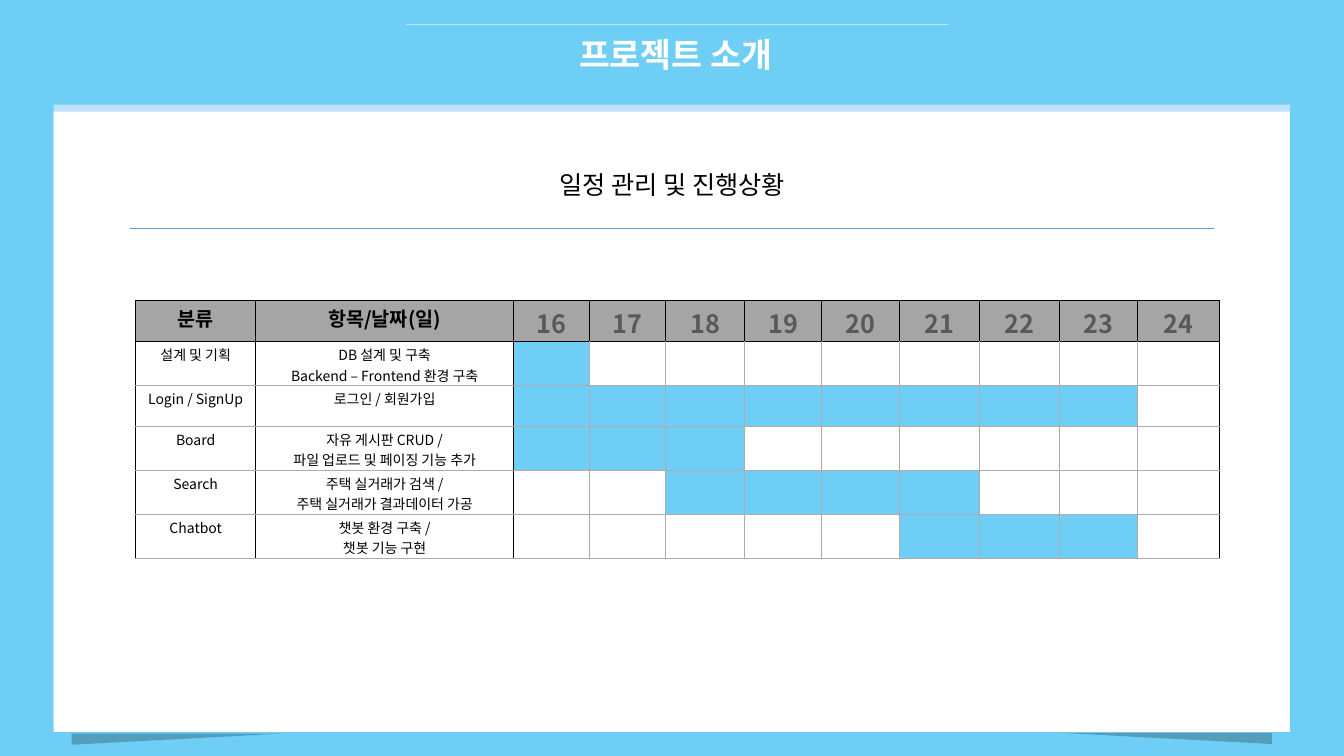
from dataclasses import dataclass

from lxml import etree
from pptx import Presentation
from pptx import util as u
from pptx.dml.color import RGBColor
from pptx.enum import shapes, text
from pptx.oxml import ns


@dataclass(frozen=True)
class Theme:
    font: str = "Noto Sans CJK KR"
    sky: str = "6ECEF5"
    pale: str = "BEE2FC"
    rule: str = "5B9BD5"
    white: str = "FFFFFF"
    black: str = "000000"
    header: str = "A5A5A5"
    grid: str = "AFABAB"
    date: str = "595959"
    title_size: float = 24
    subtitle_size: float = 18
    date_size: float = 18
    heading_size: float = 14
    body_size: float = 10
    hairline: float = 0.5


def add_xml(parent, tag, **attributes):
    element = etree.SubElement(parent, ns.qn(tag))
    for name, value in attributes.items():
        element.set(name, str(value))
    return element


class SlideBuilder:
    def __init__(self, presentation, theme):
        self.theme = theme
        self.slide = presentation.slides.add_slide(presentation.slide_layouts[5])
        background = self.slide.background.fill
        background.solid()
        background.fore_color.rgb = RGBColor.from_string(theme.sky)

    def format_text(self, frame, size, color, bold=False):
        for paragraph in frame.paragraphs:
            paragraph.alignment = text.PP_ALIGN.CENTER
            font = paragraph.font
            font.name, font.size, font.bold = self.theme.font, u.Pt(size), bold
            font.color.rgb = RGBColor.from_string(color)
            add_xml(font._element, "a:ea", typeface=self.theme.font)

    def fill_frame(self, shape, words, size, color, bold=False):
        frame = shape.text_frame
        frame.text = words
        frame.word_wrap = True
        frame.auto_size = text.MSO_AUTO_SIZE.NONE
        frame.vertical_anchor = text.MSO_ANCHOR.TOP
        frame.margin_left = frame.margin_right = 0
        frame.margin_top = frame.margin_bottom = 0
        self.format_text(frame, size, color, bold)

    def title(self, words, left, top, width, height):
        title = self.slide.shapes.title
        title.left, title.top = u.Pt(left), u.Pt(top)
        title.width, title.height = u.Pt(width), u.Pt(height)
        self.fill_frame(title, words, self.theme.title_size, self.theme.white, True)

    def subtitle(self, words, *box):
        shape = self.slide.shapes.add_textbox(*map(u.Pt, box))
        self.fill_frame(shape, words, self.theme.subtitle_size, self.theme.black)

    def line(self, left, right, y, color):
        line = self.slide.shapes.add_connector(
            shapes.MSO_CONNECTOR.STRAIGHT, u.Pt(left), u.Pt(y), u.Pt(right), u.Pt(y))
        line.line.color.rgb = RGBColor.from_string(color)
        line.line.width = u.Pt(self.theme.hairline)
        add_xml(line._element.spPr, "a:effectLst")

    def shape(self, group, kind, color, *box):
        shape = group.shapes.add_shape(kind, *map(u.Pt, box))
        shape.shadow.inherit = False
        shape.fill.solid()
        shape.fill.fore_color.rgb = RGBColor.from_string(color)
        shape.line.fill.background()
        return shape

    def panel(self, *box):
        group = self.slide.shapes.add_group_shape()
        panel = self.shape(group, shapes.MSO_SHAPE.RECTANGLE, self.theme.white, *box)
        effects = panel._element.spPr.find(ns.qn("a:effectLst"))
        shadow = add_xml(effects, "a:outerShdw", blurRad=0, dist=u.Pt(5),
                         dir=270 * 60000, algn="b", rotWithShape=0)
        add_xml(shadow, "a:srgbClr", val=self.theme.pale)
        return group

    def curl(self, group, mirrored, *box):
        curl = self.shape(group, shapes.MSO_SHAPE.RIGHT_TRIANGLE, self.theme.black, *box)
        color = curl._element.spPr.find(".//" + ns.qn("a:srgbClr"))
        add_xml(color, "a:alpha", val=23000)
        transform = curl._element.spPr.get_or_add_xfrm()
        transform.set("flipV", "1")
        if mirrored:
            transform.set("flipH", "1")

    def cell(self, cell, words, fill, size, color, bold, borders):
        cell.text = words
        cell.margin_left = cell.margin_right = u.Pt(3)
        cell.margin_top, cell.margin_bottom = u.Pt(2.4), 0
        cell.fill.solid()
        cell.fill.fore_color.rgb = RGBColor.from_string(fill)
        self.format_text(cell.text_frame, size, color, bold)
        properties = cell._tc.get_or_add_tcPr()
        for position, (side, dark) in enumerate(borders.items()):
            border = add_xml(properties, "a:ln" + side, w=u.Pt(self.theme.hairline))
            border_fill = add_xml(border, "a:solidFill")
            add_xml(border_fill, "a:srgbClr",
                    val=self.theme.black if dark else self.theme.grid)
            properties.insert(position, border)

    def schedule(self, left, top, widths, heights, days, tasks):
        theme = self.theme
        table = self.slide.shapes.add_table(
            len(heights), len(widths), u.Pt(left), u.Pt(top),
            u.Pt(sum(widths)), u.Pt(sum(heights))).table
        table.first_row = table.horz_banding = False
        for column, width in zip(table.columns, widths):
            column.width = u.Pt(width)
        for row, height in zip(table.rows, heights):
            row.height = u.Pt(height)

        rows = [["분류", "항목/날짜(일)", *map(str, days)]]
        rows += [[name, detail] + [""] * len(days) for name, detail, _ in tasks]
        for r, row in enumerate(rows):
            for c, words in enumerate(row):
                head, is_day = r == 0, c >= 2
                busy = not head and is_day and days[c - 2] in tasks[r - 1][2]
                fill = theme.header if head else theme.sky if busy else theme.white
                size = theme.heading_size if head else theme.body_size
                color = theme.black
                if head and is_day:
                    size, color = theme.date_size, theme.date
                borders = {"L": head or c <= 2,
                           "R": head or c <= 1 or c == len(row) - 1,
                           "T": r <= 1,
                           "B": head}
                self.cell(table.cell(r, c), words, fill, size, color, head, borders)


# Period covered, and the days on which each task runs
DAYS = range(16, 25)
TASKS = [
    ("설계 및 기획", "DB 설계 및 구축\vBackend – Frontend 환경 구축", range(16, 17)),
    ("Login / SignUp", "로그인 / 회원가입", range(16, 24)),
    ("Board", "자유 게시판 CRUD /\v파일 업로드 및 페이징 기능 추가", range(16, 19)),
    ("Search", "주택 실거래가 검색 /\v주택 실거래가 결과데이터 가공", range(18, 22)),
    ("Chatbot", "챗봇 환경 구축 /\n챗봇 기능 구현", range(21, 24)),
]
WIDTHS = [85.7, 184.3, 54.3, 54.3, 56.4, 55, 55.7, 57.1, 57.1, 55.7, 58.6]
HEIGHTS = [29.3, 31, 29.3, 31.4, 31.4, 31.4]


def main():
    presentation = Presentation()
    presentation.slide_width, presentation.slide_height = u.Pt(960), u.Pt(540)
    theme = Theme()
    builder = SlideBuilder(presentation, theme)

    # White sheet with curled lower corners
    sheet = builder.panel(38.4, 79.8, 883, 443)
    builder.curl(sheet, False, 51.2, 524, 151, 8)
    builder.curl(sheet, True, 757.5, 523.5, 151, 8)

    # Title and subtitle with their rules
    builder.title("프로젝트 소개", 242.6, 24.5, 480, 36)
    builder.line(290, 678, 17.3, theme.pale)
    builder.subtitle("일정 관리 및 진행상황", 184.3, 121.3, 592, 28.8)
    builder.line(92.9, 867, 163.3, theme.rule)

    # Schedule table
    builder.schedule(96.9, 214.6, WIDTHS, HEIGHTS, DAYS, TASKS)

    presentation.save("out.pptx")


if __name__ == "__main__":
    main()
